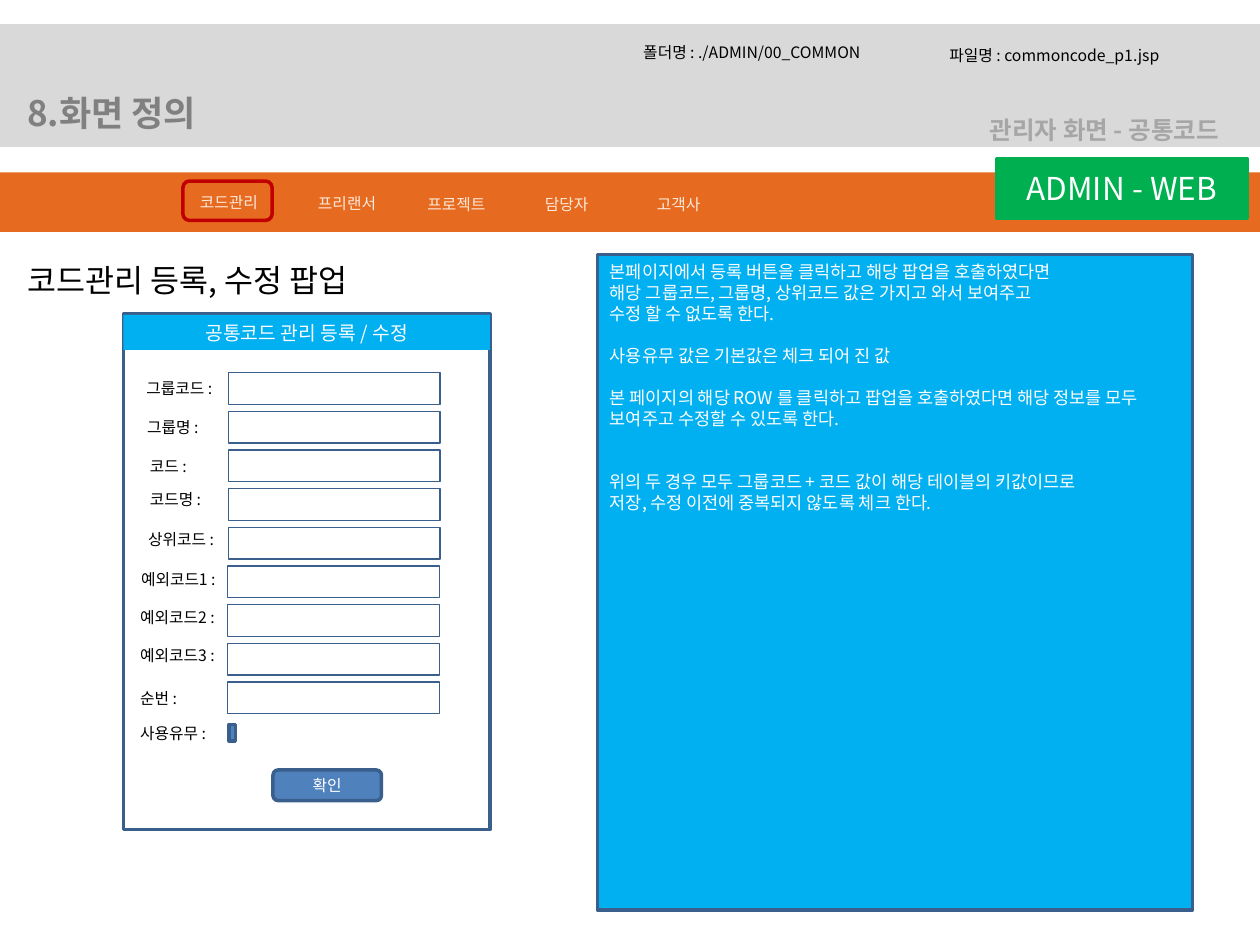
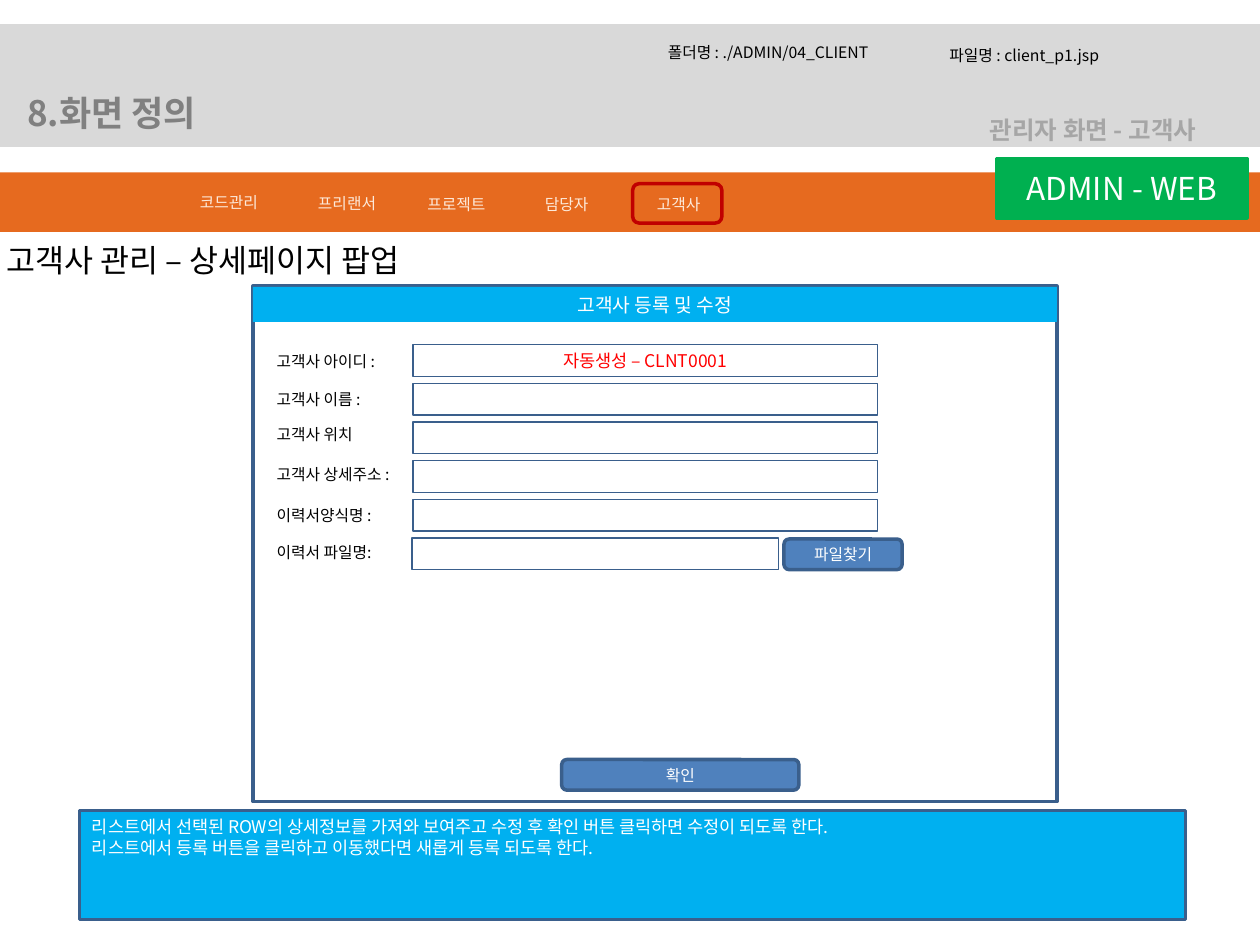
from dataclasses import dataclass

from lxml.etree import SubElement
from pptx import Presentation
from pptx.dml.color import RGBColor
from pptx.enum.shapes import MSO_SHAPE
from pptx.enum.text import MSO_ANCHOR, MSO_AUTO_SIZE, PP_ALIGN
from pptx.oxml.ns import qn
from pptx.util import Pt


@dataclass(frozen=True)
class Theme:
    font: str = "Noto Sans CJK KR"
    black: str = "000000"
    white: str = "FFFFFF"
    band: str = "D9D9D9"
    section: str = "808080"
    crumb: str = "A6A6A6"
    orange: str = "E66A1F"
    menu: str = "FDEADA"
    mark: str = "C00000"
    green: str = "00B050"
    sky: str = "00B0F0"
    button: str = "4F81BD"
    edge: str = "3A5F8C"
    red: str = "FF0000"
    small: int = 9
    note: int = 10
    bar: int = 11
    path_size: int = 14
    head: int = 18
    title: int = 20
    thin: float = 0.75
    thick: float = 2


T = Theme()
LEADING = 1.2
PITCH = 22.1
FIELD = 18
MENU = [("코드관리", 99.5, 106.5), ("프리랜서", 167, 107), ("프로젝트", 229.5, 108),
        ("담당자", 292.5, 108), ("고객사", 356.5, 108)]


def style(para, size, color, bold=False, align=PP_ALIGN.LEFT):
    para.alignment = align
    para.line_spacing = Pt(round(size * LEADING, 1))
    font = para.font
    font.name, font.size, font.bold = T.font, Pt(size), bold
    font.color.rgb = RGBColor.from_string(color)
    props = para._p.pPr.find(qn("a:defRPr"))
    SubElement(props, qn("a:ea"), typeface=T.font)


def label(slide, text, box, size=T.small, color=T.black, **look):
    shape = slide.shapes.add_textbox(*map(Pt, box))
    frame = shape.text_frame
    frame.word_wrap = True
    frame.text = text
    style(frame.paragraphs[0], size, color, **look)


def block(slide, box, fill=None, line=None, width=T.thick, text="",
          size=T.small, color=T.white, kind=MSO_SHAPE.RECTANGLE):
    shape = slide.shapes.add_shape(kind, *map(Pt, box))
    shape.shadow.inherit = False
    if fill:
        shape.fill.solid()
        shape.fill.fore_color.rgb = RGBColor.from_string(fill)
    else:
        shape.fill.background()
    if line:
        shape.line.color.rgb = RGBColor.from_string(line)
        shape.line.width = Pt(width)
    else:
        shape.line.fill.background()
    if text:
        frame = shape.text_frame
        frame.text = text
        frame.vertical_anchor = MSO_ANCHOR.MIDDLE
        style(frame.paragraphs[0], size, color, align=PP_ALIGN.CENTER)
    return shape


def button(slide, box, text):
    block(slide, box, T.button, T.edge, text=text, kind=MSO_SHAPE.ROUNDED_RECTANGLE)


def banner(slide, crumb, folder, left, file):
    block(slide, (0, 15, 720, 68), T.band, T.band)
    label(slide, "8.화면 정의", (8.5, 49, 272, 32), T.title, T.section, bold=True)
    label(slide, f"관리자 화면 - {crumb}", (558.5, 62, 190, 24.5),
          T.path_size, T.crumb, bold=True)
    label(slide, f"폴더명 : {folder}", (left, 21, 527 - left, 18))
    label(slide, f"파일명 : {file}", (535.5, 22.5, 171.5, 18))


def menu(slide, chosen):
    block(slide, (-1, 98.5, 723, 34), T.orange)
    for name, left, top in MENU:
        label(slide, name, (left, top, 62.5, 18), color=T.menu, align=PP_ALIGN.CENTER)
        if name == chosen:
            block(slide, (left + 5, top - 3, 51, 22.5), line=T.mark,
                  kind=MSO_SHAPE.ROUNDED_RECTANGLE)
    block(slide, (569.5, 90.5, 143, 34), T.green, T.green,
          text="ADMIN - WEB", size=T.head)


def heading(slide, text, box):
    shape = slide.shapes.title
    shape.left, shape.top, shape.width, shape.height = map(Pt, box)
    frame = shape.text_frame
    frame.text = text
    frame.word_wrap = True
    frame.auto_size = MSO_AUTO_SIZE.NONE
    frame.vertical_anchor = MSO_ANCHOR.TOP
    style(frame.paragraphs[0], T.head, T.black)


def dialog(slide, box, title):
    left, top, width, _ = box
    block(slide, box, line=T.edge)
    block(slide, (left, top + 0.5, width, 20), T.sky, text=title, size=T.bar)


def form(slide, box, rows, wide):
    """Rows are (label, label shift x, label shift y, field left, field width, value)."""
    left, top, *_ = box
    for i, (name, dx, dy, start, width, value) in enumerate(rows):
        y = top + 33.5 + i * PITCH
        label(slide, name, (left + dx, y + dy, wide, FIELD))
        if width:
            block(slide, (left + start, y, width, FIELD), line=T.edge, width=T.thin,
                  text=value, size=T.note, color=T.red)


def notes(slide, box, lines):
    """Lines are (text, number of empty lines above)."""
    frame = block(slide, box, T.sky, T.edge).text_frame
    frame.word_wrap = True
    frame.vertical_anchor = MSO_ANCHOR.TOP
    for i, (text, gap) in enumerate(lines):
        para = frame.add_paragraph() if i else frame.paragraphs[0]
        para.text = text
        style(para, T.note, T.white)
        if gap:
            para.space_before = Pt(gap * T.note * LEADING)


def code_page(slide):
    banner(slide, "공통코드", "./ADMIN/00_COMMON", 360.5, "commoncode_p1.jsp")
    menu(slide, "코드관리")
    heading(slide, "코드관리 등록, 수정 팝업", (8.5, 145.5, 238, 29))
    box = left, top, *_ = (70.5, 179.5, 209.5, 294.5)
    dialog(slide, box, "공통코드 관리 등록 / 수정")
    names = [("그룹코드 :", 6, 0), ("그룹명 :", 6.5, 0), ("코드 :", 8, 0.5),
             ("코드명 :", 8, -3), ("상위코드 :", 7, -2), ("예외코드1 :", 3, -1.5),
             ("예외코드2 :", 2.5, -2), ("예외코드3 :", 2.5, -2), ("순번 :", 2.5, 0)]
    rows = [(*name, 60 if i < 5 else 59.5, 121, "") for i, name in enumerate(names)]
    rows.append(("사용유무 :", 2.5, -2, 0, 0, ""))
    form(slide, box, rows, 67.5)
    block(slide, (left + 60.5, top + 234.5, 3.5, 9.5), T.button, T.edge)
    button(slide, (left + 85.5, top + 260.5, 62, 17.5), "확인")
    notes(slide, (341.5, 145.5, 340, 374.5), [
        ("본페이지에서 등록 버튼을 클릭하고 해당 팝업을 호출하였다면", 0),
        ("해당 그룹코드, 그룹명, 상위코드 값은 가지고 와서 보여주고", 0),
        ("수정 할 수 없도록 한다.", 0),
        ("사용유무 값은 기본값은 체크 되어 진 값", 1),
        ("본 페이지의 해당 ROW 를 클릭하고 팝업을 호출하였다면 해당 정보를 모두 "
         "보여주고 수정할 수 있도록 한다.", 1),
        ("위의 두 경우 모두 그룹코드 + 코드 값이 해당 테이블의 키값이므로", 2),
        ("저장, 수정 이전에 중복되지 않도록 체크 한다.", 0)])


def client_page(slide):
    banner(slide, "고객사", "./ADMIN/04_CLIENT", 374.5, "client_p1.jsp")
    menu(slide, "고객사")
    heading(slide, "고객사 관리 – 상세페이지 팝업", (-3.5, 134, 352, 29))
    box = left, top, *_ = (144.5, 163.5, 459.5, 294.5)
    dialog(slide, box, "고객사 등록 및 수정")
    names = [("고객사 아이디 :", 0.5), ("고객사 이름 :", 0), ("고객사 위치", -2),
             ("고객사 상세주소 :", -1.5), ("이력서양식명 :", 0)]
    rows = [(name, 6.5, dy, 91.5, 265.5, "" if i else "자동생성 – CLNT0001")
            for i, (name, dy) in enumerate(names)]
    rows.append(("이력서 파일명:", 6.5, -1, 91, 209.5, ""))
    form(slide, box, rows, 149)
    button(slide, (left + 303.5, top + 144.5, 67.5, 17.5), "파일찾기")
    button(slide, (left + 176.5, top + 270.5, 135.5, 17.5), "확인")
    notes(slide, (45.5, 463, 632, 62.5), [
        ("리스트에서 선택된 ROW의 상세정보를 가져와 보여주고 수정 후 확인 버튼 "
         "클릭하면 수정이 되도록 한다.", 0),
        ("리스트에서 등록 버튼을 클릭하고 이동했다면 새롭게 등록 되도록 한다.", 0)])


def main():
    deck = Presentation()
    deck.slide_width, deck.slide_height = Pt(720), Pt(540)
    for page in (code_page, client_page):
        page(deck.slides.add_slide(deck.slide_layouts[5]))
    deck.save("out.pptx")


if __name__ == "__main__":
    main()
